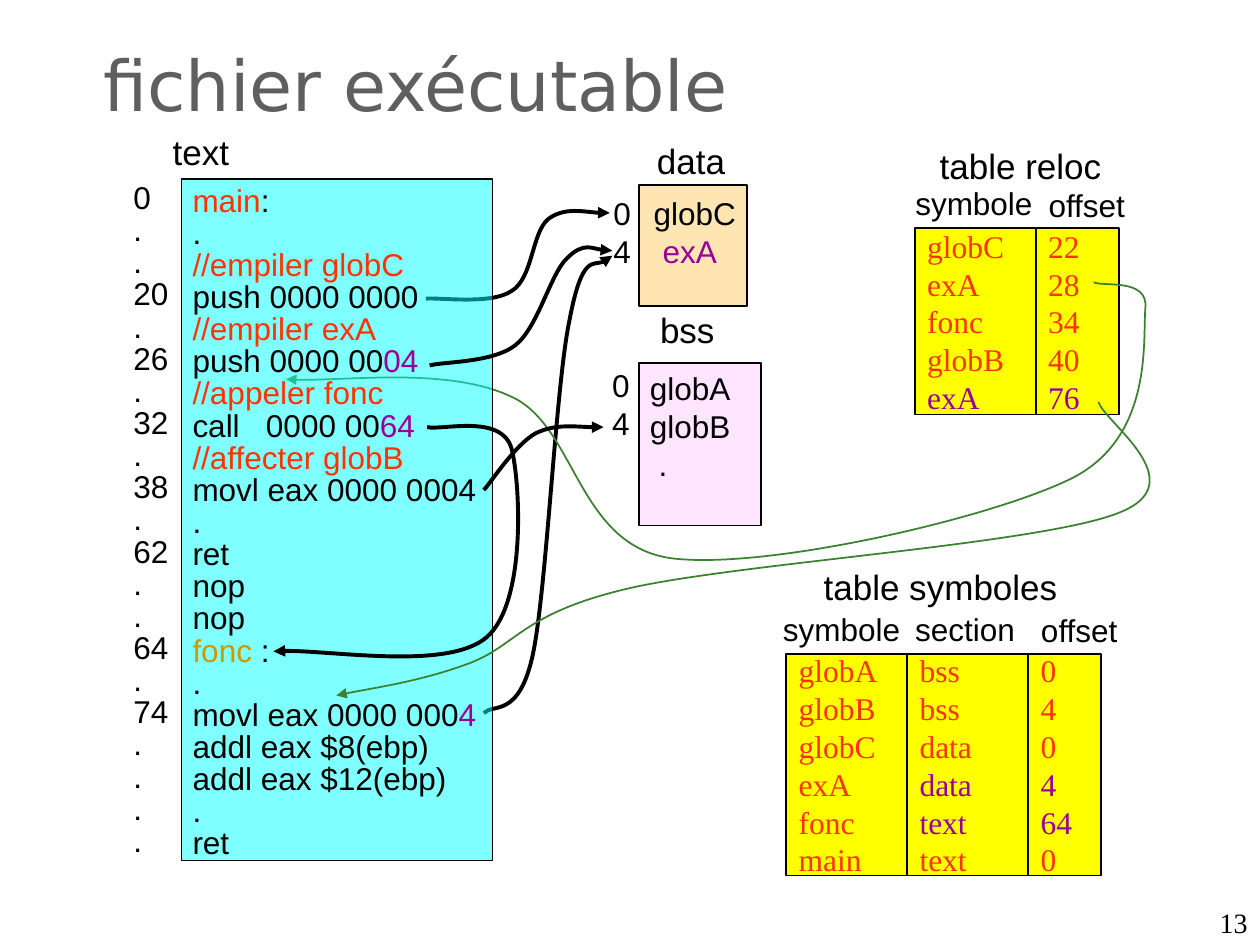
from lxml import etree
from pptx import Presentation
from pptx.dml.color import RGBColor
from pptx.enum.shapes import MSO_SHAPE
from pptx.enum.text import MSO_ANCHOR, PP_ALIGN
from pptx.oxml.ns import qn
from pptx.util import Inches, Pt

RECTANGLE = MSO_SHAPE.RECTANGLE
TOP, MIDDLE, BOTTOM = MSO_ANCHOR.TOP, MSO_ANCHOR.MIDDLE, MSO_ANCHOR.BOTTOM
LEFT, CENTER, RIGHT = PP_ALIGN.LEFT, PP_ALIGN.CENTER, PP_ALIGN.RIGHT
BLACK, RED, PURPLE, GOLD = "000000", "FF3300", "990099", "CC9900"
GREEN, YELLOW, GREY = "3B812F", "FFFF00", "5F5F5F"
SERIF = "Times New Roman"

TITLE = "fichier exécutable"
PAGE_NUMBER = "13"

ADDRESSES = ["0", ".", ".", "20", ".", "26", ".", "32", ".", "38", ".", "62",
             ".", ".", "64", ".", "74", ".", ".", ".", "."]
CODE = [
    [("main", RED), ":"],
    ".",
    [("//empiler globC", RED)],
    "push 0000 0000",
    [("//empiler exA", RED)],
    ["push 0000 00", ("04", PURPLE)],
    [("//appeler fonc", RED)],
    ["call   0000 00", ("64", PURPLE)],
    [("//affecter globB", RED)],
    "movl eax 0000 0004",
    ".",
    "ret",
    "nop",
    "nop",
    [("fonc", GOLD), " :"],
    ".",
    ["movl eax 0000 000", ("4", PURPLE)],
    "addl eax $8(ebp)",
    "addl eax $12(ebp)",
    ".",
    "ret",
]

SECTION_BOXES = [
    ((5.07, 2.88, 0.97, 1.29), "FFCCFF"),
    ((5.07, 1.47, 0.86, 0.96), "FFCC66"),
]
TEXT_SECTION = ((1.44, 1.42, 2.47, 5.41), "00FFFF")
HEADINGS = [
    ("text", (1.08, 0.99, 1.03, 0.44)),
    ("data", (4.97, 1.06, 1.03, 0.44)),
    ("bss", (4.94, 2.4, 1.03, 0.44)),
    ("table reloc", (7.35, 1.1, 1.5, 0.44)),
    ("table symboles", (6.41, 4.44, 2.11, 0.44)),
]
SECTION_TEXTS = [
    (["globC", [("exA", PURPLE)]], (5.09, 1.49, 0.87, 0.7), [0, 0.07]),
    (["globA", "globB", "."], (5.06, 2.88, 1.03, 1), [0, 0, 0.07]),
    (["0", "4"], (4.77, 1.49, 0.41, 0.7), []),
    (["0", "4"], (4.76, 2.86, 0.55, 0.7), []),
]
TABLES = [
    {"left": 7.26, "top": 1.81, "height": 1.48, "columns": [
        (0.96, "symbole", (7.06, 1.41, 1.34, 0.4),
         ["globC", "exA", "fonc", "globB", "exA"], [4]),
        (0.66, "offset", (8, 1.43, 1.25, 0.4),
         ["22", "28", "34", "40", "76"], [4]),
    ]},
    {"left": 6.24, "top": 5.19, "height": 1.76, "columns": [
        (0.96, "symbole", (6.01, 4.79, 1.34, 0.4),
         ["globA", "globB", "globC", "exA", "fonc", "main"], []),
        (0.96, "section", (6.99, 4.79, 1.34, 0.4),
         ["bss", "bss", "data", "data", "text", "text"], [3, 4]),
        (0.58, "offset", (7.94, 4.8, 1.25, 0.4),
         ["0", "4", "0", "4", "64", "0"], [3, 4]),
    ]},
]

CURVES_BEHIND = [
    (BLACK, 2.25, [(3.38, 2.37), (3.49, 2.36), (3.9, 2.42), (4.06, 2.31),
                   (4.23, 2.21), (4.22, 1.85), (4.35, 1.74),
                   (4.48, 1.64), (4.74, 1.7), (4.84, 1.69)]),
    (BLACK, 2.25, [(3.84, 5.66), (3.91, 5.58), (4.12, 5.71), (4.23, 5.19),
                   (4.34, 4.66), (4.41, 3.06), (4.52, 2.54),
                   (4.62, 2.01), (4.79, 2.13), (4.86, 2.03)]),
    (GREEN, 1, [(8.68, 2.24), (8.74, 2.28), (9.12, 2.2), (9.09, 2.45),
                (9.07, 2.71), (9.15, 3.46), (8.52, 3.79),
                (7.89, 4.11), (6.07, 4.53), (5.32, 4.43),
                (4.58, 4.32), (4.57, 3.38), (4.06, 3.15),
                (3.56, 2.91), (2.64, 3.04), (2.27, 3.01)]),
]
CURVES_FRONT = [
    (BLACK, 2.25, [(3.41, 2.9), (3.52, 2.87), (3.91, 2.88), (4.09, 2.74),
                   (4.27, 2.6), (4.37, 2.17), (4.5, 2.05),
                   (4.63, 1.92), (4.79, 2), (4.86, 1.99)]),
    (BLACK, 2.25, [(3.39, 3.39), (3.5, 3.42), (3.98, 3.28), (4.06, 3.56),
                   (4.13, 3.83), (4.18, 4.79), (3.86, 5.06),
                   (3.55, 5.32), (2.52, 5.14), (2.17, 5.17)]),
    (BLACK, 2.25, [(3.84, 3.89), (3.91, 3.81), (4.09, 3.53), (4.25, 3.44),
                   (4.41, 3.36), (4.68, 3.4), (4.79, 3.39)]),
    (GREEN, 1, [(8.72, 3.19), (8.75, 3.34), (9.5, 3.83), (8.88, 4.07),
                (8.26, 4.32), (5.85, 4.47), (4.99, 4.67),
                (4.13, 4.87), (4.1, 5.13), (3.71, 5.27),
                (3.33, 5.41), (2.89, 5.47), (2.67, 5.52)]),
]


def rgb(value):
    """Return the colour for a hex string."""
    return RGBColor.from_string(value)


def write(frame, lines, size=18, font="Arial", color=BLACK, align=LEFT,
          anchor=TOP, spacing=None, indents=()):
    """Write lines, each a string or a list of runs, into a text frame."""
    frame.word_wrap = True
    frame.vertical_anchor = anchor
    for index, line in enumerate(lines):
        paragraph = frame.paragraphs[0] if index == 0 else frame.add_paragraph()
        paragraph.alignment = align
        if spacing:
            paragraph.line_spacing = spacing
        if index < len(indents):
            properties = paragraph._p.get_or_add_pPr()
            properties.set("marL", str(Inches(indents[index])))
            properties.set("indent", "0")
        for part in [line] if isinstance(line, str) else line:
            text, run_color = (part, color) if isinstance(part, str) else part
            run = paragraph.add_run()
            run.text = text
            run.font.size = Pt(size)
            run.font.name = font
            run.font.color.rgb = rgb(run_color)


def add_text(slide, lines, box, **style):
    """Add a text box at the given place."""
    label = slide.shapes.add_textbox(*map(Inches, box))
    write(label.text_frame, lines, **style)


def add_box(slide, box, fill, alpha=None):
    """Add a thinly outlined rectangle, with opacity in percent if given."""
    rectangle = slide.shapes.add_shape(RECTANGLE, *map(Inches, box))
    rectangle.shadow.inherit = False
    rectangle.fill.solid()
    rectangle.fill.fore_color.rgb = rgb(fill)
    rectangle.line.color.rgb = rgb(BLACK)
    rectangle.line.width = Pt(1)
    if alpha:
        tint = rectangle.element.spPr.find(qn("a:solidFill"))[0]
        etree.SubElement(tint, qn("a:alpha")).set("val", str(alpha * 1000))
    return rectangle


def add_curve(slide, color, width, points):
    """Add an arrow of Bézier segments through every third point."""
    start, *others = [(Inches(x), Inches(y)) for x, y in points]
    builder = slide.shapes.build_freeform(*start)
    builder.add_line_segments(others, close=False)
    curve = builder.convert_to_shape()
    curve.shadow.inherit = False
    curve.fill.background()
    curve.line.color.rgb = rgb(color)
    curve.line.width = Pt(width)
    properties = curve.element.spPr
    outline = next(properties.iter(qn("a:path")))
    segments = outline.findall(qn("a:lnTo"))
    for first in range(0, len(segments), 3):
        bezier = etree.SubElement(outline, qn("a:cubicBezTo"))
        for segment in segments[first:first + 3]:
            bezier.append(segment[0])
            outline.remove(segment)
    etree.SubElement(properties.find(qn("a:ln")), qn("a:tailEnd")).set("type", "triangle")


def add_columns(slide, left, top, height, columns):
    """Add adjoining table columns with their headers."""
    for width, header, header_box, values, highlighted in columns:
        column = add_box(slide, (left, top, width, height), YELLOW)
        lines = [[(value, PURPLE if row in highlighted else RED)]
                 for row, value in enumerate(values)]
        write(column.text_frame, lines, font=SERIF, anchor=MIDDLE)
        add_text(slide, [header], header_box, align=CENTER)
        left += width


def main():
    """Build the slide and save it."""
    deck = Presentation()
    deck.slide_width, deck.slide_height = Inches(10), Inches(7.5)
    slide = deck.slides.add_slide(deck.slide_layouts[5])
    title = slide.shapes.title
    title.left, title.top, title.width, title.height = map(Inches, (0.54, 0.26, 6.7, 0.8))
    write(title.text_frame, [TITLE], size=40, font="DejaVu Sans", color=GREY,
          anchor=MIDDLE, indents=[0.18])

    for box, fill in SECTION_BOXES:
        add_box(slide, box, fill, alpha=50)
    for heading, box in HEADINGS:
        add_text(slide, [heading], box, size=20, align=CENTER)
    for lines, box, indents in SECTION_TEXTS:
        add_text(slide, lines, box, indents=indents)
    for table in TABLES:
        add_columns(slide, **table)
    for curve in CURVES_BEHIND:
        add_curve(slide, *curve)
    add_box(slide, *TEXT_SECTION, alpha=50)
    add_text(slide, ADDRESSES, (0.96, 1.41, 0.55, 5.46), spacing=0.85)
    add_text(slide, CODE, (1.43, 1.43, 2.5, 5.46), spacing=0.85)
    for curve in CURVES_FRONT:
        add_curve(slide, *curve)
    add_text(slide, [PAGE_NUMBER], (7.67, 7.14, 2.33, 0.36), size=16,
             font=SERIF, align=RIGHT, anchor=BOTTOM)
    deck.save("out.pptx")


if __name__ == "__main__":
    main()
